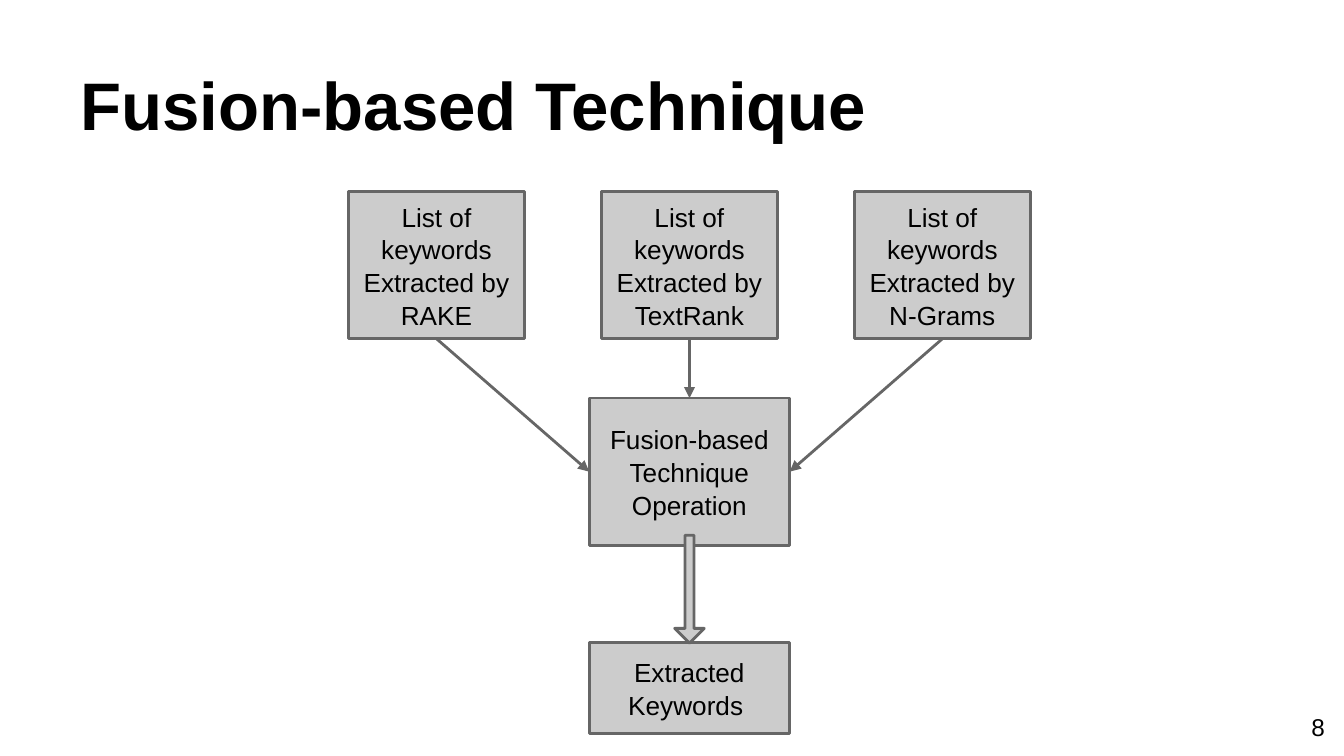
"""Builds the slide that shows how keyword lists are fused."""
import pptx
import pptx.util
import pptx.dml.color
import pptx.enum.shapes
import pptx.enum.text
import pptx.oxml.ns
import lxml.etree

Cm = pptx.util.Cm
Pt = pptx.util.Pt
Align = pptx.enum.text.PP_ALIGN
Anchor = pptx.enum.text.MSO_ANCHOR
Shape = pptx.enum.shapes.MSO_SHAPE

COLOURS = {"text": "000000", "fill": "CCCCCC", "line": "666666"}
TOP, LEFT, BOTTOM, RIGHT = range(4)


def colour(name):
    """Return the named colour."""
    return pptx.dml.color.RGBColor.from_string(COLOURS[name])


def apply(target, values):
    """Set every attribute in values on target."""
    for name, value in values.items():
        setattr(target, name, value)


class FlowSlide:
    """Holds the style and the current slide."""

    font = "Arial"
    line_width = Pt(1.5)
    inset = Cm(0.25)

    def __init__(self, deck):
        """Add a title-only slide to the deck."""
        self.page = deck.slides.add_slide(deck.slide_layouts[5])

    def label(self, box, text, size, align, anchor, bold=False, spacing=1.0):
        """Put formatted text in a box."""
        frame = box.text_frame
        sides = ("left", "top", "right", "bottom")
        apply(frame, {f"margin_{side}": self.inset for side in sides})
        apply(frame, {"word_wrap": True, "vertical_anchor": anchor,
                      "auto_size": pptx.enum.text.MSO_AUTO_SIZE.NONE})
        para = frame.paragraphs[0]
        apply(para, {"alignment": align, "line_spacing": spacing})
        span = para.add_run()
        span.text = text
        apply(span.font, {"name": self.font, "size": Pt(size), "bold": bold})
        span.font.color.rgb = colour("text")

    def title(self, text, left, top, width, height):
        """Place and fill the title."""
        box = self.page.shapes.title
        apply(box, {"left": Cm(left), "top": Cm(top),
                    "width": Cm(width), "height": Cm(height)})
        self.label(box, text, 36, Align.LEFT, Anchor.BOTTOM, bold=True)

    def number(self, text, left, top, width, height):
        """Add the page number."""
        box = self.page.shapes.add_textbox(Cm(left), Cm(top), Cm(width), Cm(height))
        self.label(box, text, 13, Align.RIGHT, Anchor.MIDDLE)

    def shape(self, kind, centre, top, width, height):
        """Add a filled shape around a horizontal centre."""
        shape = self.page.shapes.add_shape(
            kind, Cm(centre - width / 2), Cm(top), Cm(width), Cm(height))
        shape.shadow.inherit = False
        shape.fill.solid()
        shape.fill.fore_color.rgb = colour("fill")
        shape.line.color.rgb = colour("line")
        shape.line.width = self.line_width
        return shape

    def step(self, text, centre, top, width, height):
        """Add a labelled box."""
        box = self.shape(Shape.RECTANGLE, centre, top, width, height)
        self.label(box, text, 14, Align.CENTER, Anchor.MIDDLE, spacing=1.05)
        return box

    def block_arrow(self, centre, top, width, height):
        """Add a block arrow that points down."""
        arrow = self.shape(Shape.RIGHT_ARROW, centre, top, width, height)
        arrow.rotation = 90
        arrow.adjustments[0] = 0.3
        arrow.adjustments[1] = 0.5

    def arrow(self, source, target, side):
        """Connect the bottom of one box to a side of another."""
        line = self.page.shapes.add_connector(
            pptx.enum.shapes.MSO_CONNECTOR.STRAIGHT, 0, 0, 0, 0)
        line.begin_connect(source, BOTTOM)
        line.end_connect(target, side)
        line.line.color.rgb = colour("line")
        line.line.width = self.line_width
        qn = pptx.oxml.ns.qn
        properties = line._element.spPr
        lxml.etree.SubElement(properties.find(qn("a:ln")), qn("a:tailEnd"), type="triangle")
        lxml.etree.SubElement(properties, qn("a:effectLst"))


deck = pptx.Presentation()
deck.slide_width = Cm(25.4)
deck.slide_height = Cm(14.28)

slide = FlowSlide(deck)
slide.title("Fusion-based Technique", 1.27, 0.58, 22.86, 2.39)
slide.number("8", 23.77, 13.18, 1.52, 1.09)

middle = 13.03
gap = 4.78
methods = ["RAKE", "TextRank", "N-Grams"]
sources = [
    slide.step(f"List of keywords Extracted by {method}",
               middle + (index - 1) * gap, 3.62, 3.33, 2.78)
    for index, method in enumerate(methods)
]
operation = slide.step("Fusion-based Technique Operation", middle, 7.52, 3.79, 2.78)
slide.step("Extracted Keywords ", middle, 12.13, 3.79, 1.73)
slide.block_arrow(middle, 10.85, 2.04, 0.56)
for source, side in zip(sources, (LEFT, TOP, RIGHT)):
    slide.arrow(source, operation, side)

deck.save("out.pptx")
